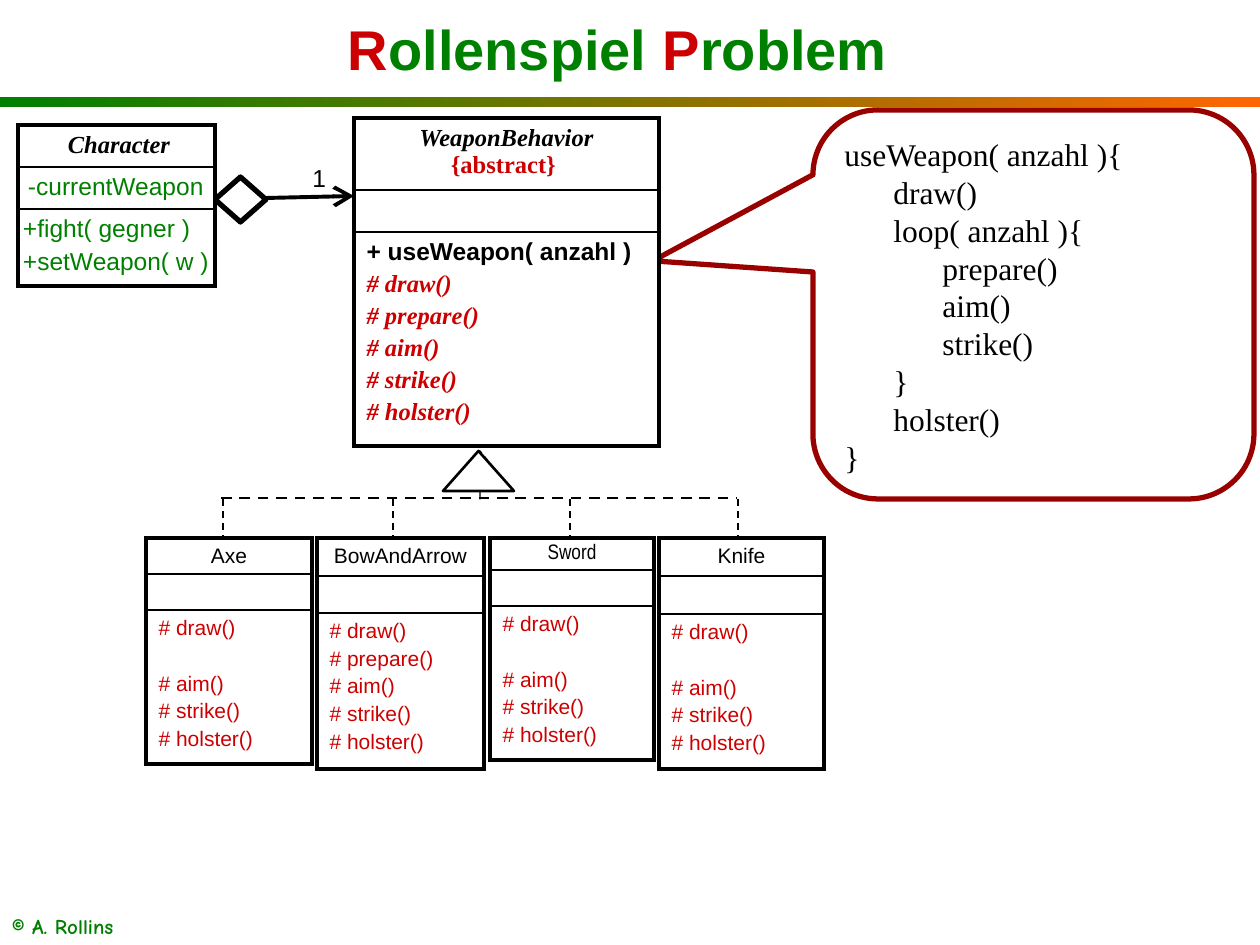
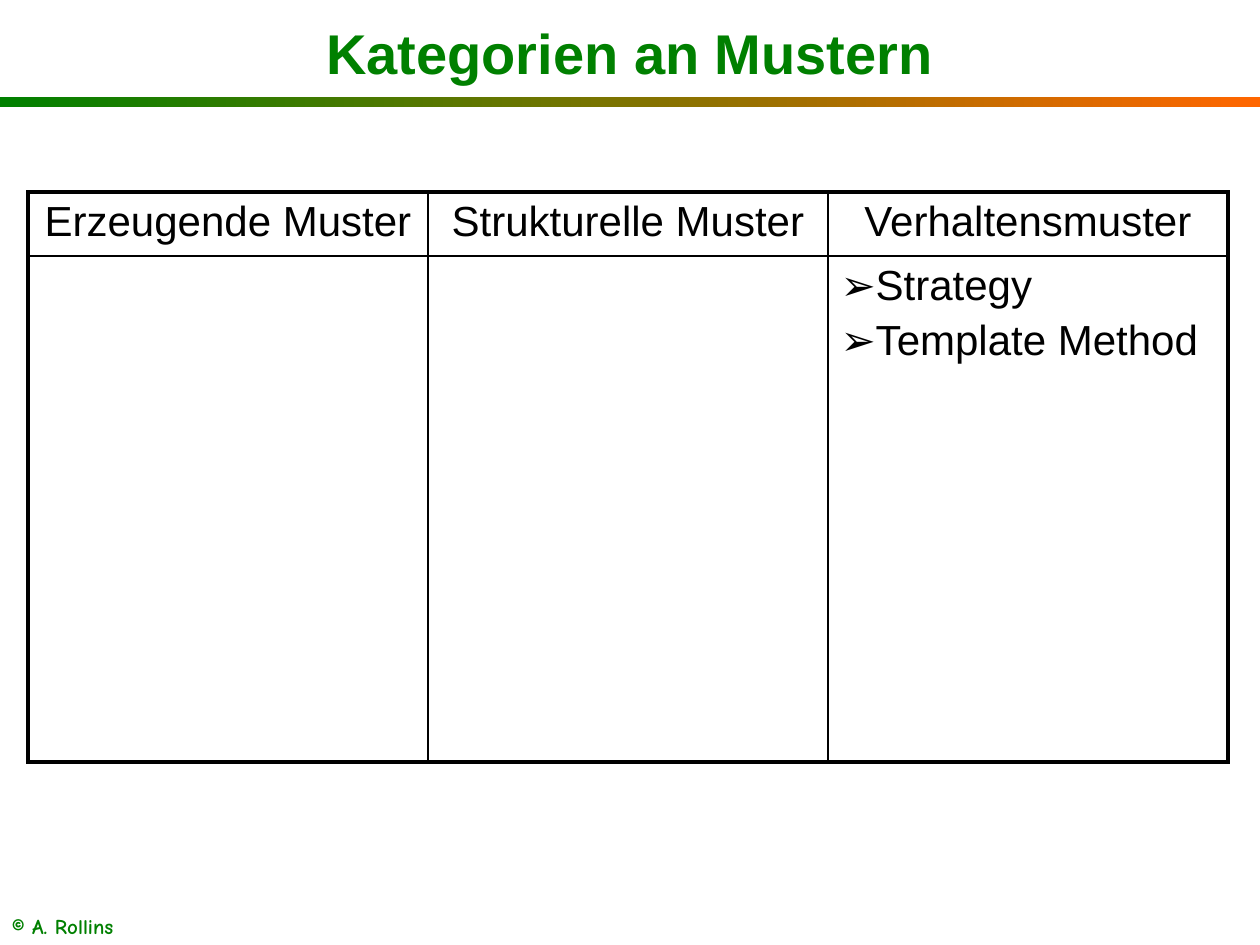
"""Build two slides on the role-playing game design and the pattern categories."""
import pptx
import pptx.util
import pptx.dml.color
import pptx.enum.dml
import pptx.enum.shapes
import pptx.enum.text
import lxml.etree

Pt = pptx.util.Pt
rgb = pptx.dml.color.RGBColor.from_string
SHAPE = pptx.enum.shapes.MSO_SHAPE
DASH = pptx.enum.dml.MSO_LINE.DASH
LEFT, CENTER = pptx.enum.text.PP_ALIGN.LEFT, pptx.enum.text.PP_ALIGN.CENTER
MIDDLE = pptx.enum.text.MSO_ANCHOR.MIDDLE
NS = "http://schemas.openxmlformats.org/drawingml/2006/main"
SCALE = 914400 / 126
BLACK, WHITE, GREEN, RED = "000000", "FFFFFF", "008000", "CC0000"
ORANGE, DARK_RED = "FF6600", "990000"
SANS, SERIF = "Arial", "Times New Roman"


def px(*lengths):
    return [round(v * SCALE) for v in lengths]


def write(tf, lines, font, size, color, align=LEFT, before=0.0, bold=False):
    tf.word_wrap = True
    tf.text = "\n".join(lines)
    for i, p in enumerate(tf.paragraphs):
        p.alignment = align
        p.space_before = Pt(before if i else 0)
        for r in p.runs:
            r.font.name, r.font.size, r.font.bold = font, Pt(size), bold
            r.font.color.rgb = rgb(color)


prs = pptx.Presentation()
prs.slide_width, prs.slide_height = px(1260, 945)

titles = [
    ((82, 0, 1071, 97), [("R", RED), ("ollenspiel ", GREEN), ("P", RED), ("roblem", GREEN)]),
    ((0, 6, 1260, 93), [("Kategorien an Mustern", GREEN)]),
]
for box, parts in titles:
    s = prs.slides.add_slide(prs.slide_layouts[6])
    sp = s.shapes.add_shape(SHAPE.RECTANGLE, *px(0, 97, 1260, 10))
    sp.shadow.inherit = False
    sp.line.fill.background()
    sp.fill.gradient()
    sp.fill.gradient_angle = 0
    for stop, color in zip(sp.fill.gradient_stops, (GREEN, ORANGE)):
        stop.color.rgb = rgb(color)

    tf = s.shapes.add_textbox(*px(12, 907, 190, 32)).text_frame
    tf.margin_left = tf.margin_bottom = 0
    write(tf, ["© A. Rollins"], "Comic Neue", 12, GREEN, bold=True)

    tf = s.shapes.add_textbox(*px(*box)).text_frame
    tf.word_wrap = True
    tf.vertical_anchor = MIDDLE
    p = tf.paragraphs[0]
    p.alignment = CENTER
    for text, color in parts:
        r = p.add_run()
        r.text = text
        r.font.name, r.font.size, r.font.bold = SANS, Pt(32), True
        r.font.color.rgb = rgb(color)

game, patterns = prs.slides

outlines = [
    (SHAPE.UP_ARROW, (450, 451, 60, 48), 0.75, DASH),
    (SHAPE.ISOSCELES_TRIANGLE, (443, 451, 71, 40), 1.5, None),
    (SHAPE.DIAMOND, (215, 177, 51, 45), 3, None),
    (SHAPE.ROUNDED_RECTANGULAR_CALLOUT, (813, 110, 441, 389), 3, None),
]
shapes = []
for kind, box, width, dash in outlines:
    sp = game.shapes.add_shape(kind, *px(*box))
    sp.shadow.inherit = False
    sp.fill.solid()
    sp.fill.fore_color.rgb = rgb(WHITE)
    sp.line.color.rgb = rgb(BLACK)
    sp.line.width = Pt(width)
    sp.line.dash_style = dash
    shapes.append(sp)
arrow, triangle, diamond, callout = shapes
arrow.adjustments[0], arrow.adjustments[1] = 0, 0.76

lines = [((221, 498, 737, 498), 1.5, DASH), ((266, 198, 354, 196), 2.25, None)]
lines += [((x, 499, x, end), 1, DASH)
          for x, end in ((223, 539), (393, 627), (570, 539), (738, 627))]
for ends, width, dash in lines:
    cx = game.shapes.add_connector(pptx.enum.shapes.MSO_CONNECTOR.STRAIGHT, *px(*ends))
    cx.line.color.rgb = rgb(BLACK)
    cx.line.width = Pt(width)
    cx.line.dash_style = dash
    if dash is None:
        ln = cx.line._get_or_add_ln()
        lxml.etree.SubElement(ln, f"{{{NS}}}tailEnd", type="arrow", w="lg", len="lg")
    lxml.etree.SubElement(cx._element.spPr, f"{{{NS}}}effectLst")

tf = game.shapes.add_textbox(*px(300, 157, 45, 43)).text_frame
write(tf, ["1"], SANS, 14, BLACK)

callout.fill.background()
callout.line.color.rgb = rgb(DARK_RED)
for i, value in enumerate((-0.863, -0.112, 0.167)):
    callout.adjustments[i] = value
tf = callout.text_frame
tf.vertical_anchor = pptx.enum.text.MSO_ANCHOR.TOP
code = [
    (0, "useWeapon( anzahl ){"), (1, "draw()\vloop( anzahl ){"), (2, "prepare()"),
    (2, "aim()"), (2, "strike()"), (1, "}\vholster()"), (0, "}"),
]
write(tf, [text for level, text in code], SERIF, 18, BLACK)
for p, (level, text) in zip(tf.paragraphs, code):
    p.line_spacing = Pt(21.6)
    pPr = p._p.get_or_add_pPr()
    pPr.set("marL", str(px(49 * level)[0]))
    pPr.set("indent", "0")

methods = ["# draw()", "# prepare()", "# aim()", "# strike()", "# holster()"]
tables = [
    (game, 18, 125, [197], [42, 42, 77], [
        [(["Character"], SERIF, 14, BLACK, CENTER)],
        [(["-currentWeapon"], SANS, 14, GREEN, LEFT)],
        [(["+fight( gegner )", "+setWeapon( w )"], SANS, 14, GREEN, LEFT)]]),
    (game, 354, 118, [305], [72, 42, 214], [
        [(["WeaponBehavior\v{abstract} "], SERIF, 14, BLACK, CENTER)],
        [None],
        [(["+ useWeapon( anzahl )"] + methods, SERIF, 14, RED, LEFT)]]),
    (patterns, 28, 192, [400] * 3, [64, 506], [
        [([head], SANS, 24, BLACK, CENTER)
         for head in ("Erzeugende Muster", "Strukturelle Muster", "Verhaltensmuster")],
        [None, None, (["Strategy", "Template Method"], SANS, 24, BLACK, LEFT)]]),
]
weapons = [
    ("Axe", 146, 166, [36, 36, 147], SANS),
    ("BowAndArrow", 317, 167, [38, 37, 156], SANS),
    ("Sword", 490, 164, [32, 36, 148], "Arial Narrow"),
    ("Knife", 659, 165, [38, 38, 155], SANS),
]
for name, x, width, heights, font in weapons:
    own = methods if name == "BowAndArrow" else methods[:1] + methods[2:]
    tables.append((game, x, 538, [width], heights, [
        [([name], font, 12, BLACK, CENTER)],
        [None],
        [(own, SANS, 12, RED, LEFT)]]))

grids = []
for s, x, y, widths, heights, rows in tables:
    frame = s.shapes.add_table(len(heights), len(widths), *px(x, y, sum(widths), sum(heights)))
    tbl = frame.table
    tbl.first_row = tbl.horz_banding = False
    grids.append(tbl)
    for column, width in zip(tbl.columns, px(*widths)):
        column.width = width
    for row, height in zip(tbl.rows, px(*heights)):
        row.height = height
    for i, row in enumerate(rows):
        for j, content in enumerate(row):
            cell = tbl.cell(i, j)
            cell.fill.solid()
            cell.fill.fore_color.rgb = rgb(WHITE)
            outer = {"lnL": j == 0, "lnR": j == len(widths) - 1,
                     "lnT": i == 0, "lnB": i == len(heights) - 1}
            tcPr = cell._tc.get_or_add_tcPr()
            for k, (side, edge) in enumerate(outer.items()):
                ln = lxml.etree.Element(f"{{{NS}}}{side}", w=str(Pt(2.25 if edge else 1)))
                fill = lxml.etree.SubElement(ln, f"{{{NS}}}solidFill")
                lxml.etree.SubElement(fill, f"{{{NS}}}srgbClr", val=BLACK)
                tcPr.insert(k, ln)
            if content:
                texts, font, size, color, align = content
                write(cell.text_frame, texts, font, size, color, align, round(size * 0.2, 1))
            else:
                p = cell.text_frame.paragraphs[0]
                p._p.get_or_add_endParaRPr().set("sz", "1000")

character, behavior, categories, *weapon_grids = grids

for i, (left, right) in enumerate([(10, 5), (10, 5), (5, 0)]):
    cell = character.cell(i, 0)
    cell.margin_left, cell.margin_right = px(left, right)
for tbl in (character, behavior):
    for r in tbl.cell(0, 0).text_frame.paragraphs[0].runs:
        r.font.bold = r.font.italic = True
r = behavior.cell(0, 0).text_frame.paragraphs[0].runs[1]
r.font.italic = False
r.font.color.rgb = rgb(RED)

for i, p in enumerate(behavior.cell(2, 0).text_frame.paragraphs):
    r = p.runs[0]
    r.font.bold, r.font.italic = True, i > 0
    if i == 0:
        r.font.name = SANS
        r.font.color.rgb = rgb(BLACK)

for tbl in weapon_grids:
    tbl.cell(0, 0).margin_bottom = 0
    ps = tbl.cell(2, 0).text_frame.paragraphs
    if len(ps) < len(methods):
        ps[1].space_before = Pt(18.4)

for p in categories.cell(1, 2).text_frame.paragraphs:
    pPr = p._p.get_or_add_pPr()
    pPr.set("marL", "0")
    pPr.set("indent", "0")
    lxml.etree.SubElement(pPr, f"{{{NS}}}buFont", typeface=SANS)
    lxml.etree.SubElement(pPr, f"{{{NS}}}buChar", char="➢")

prs.save("out.pptx")
